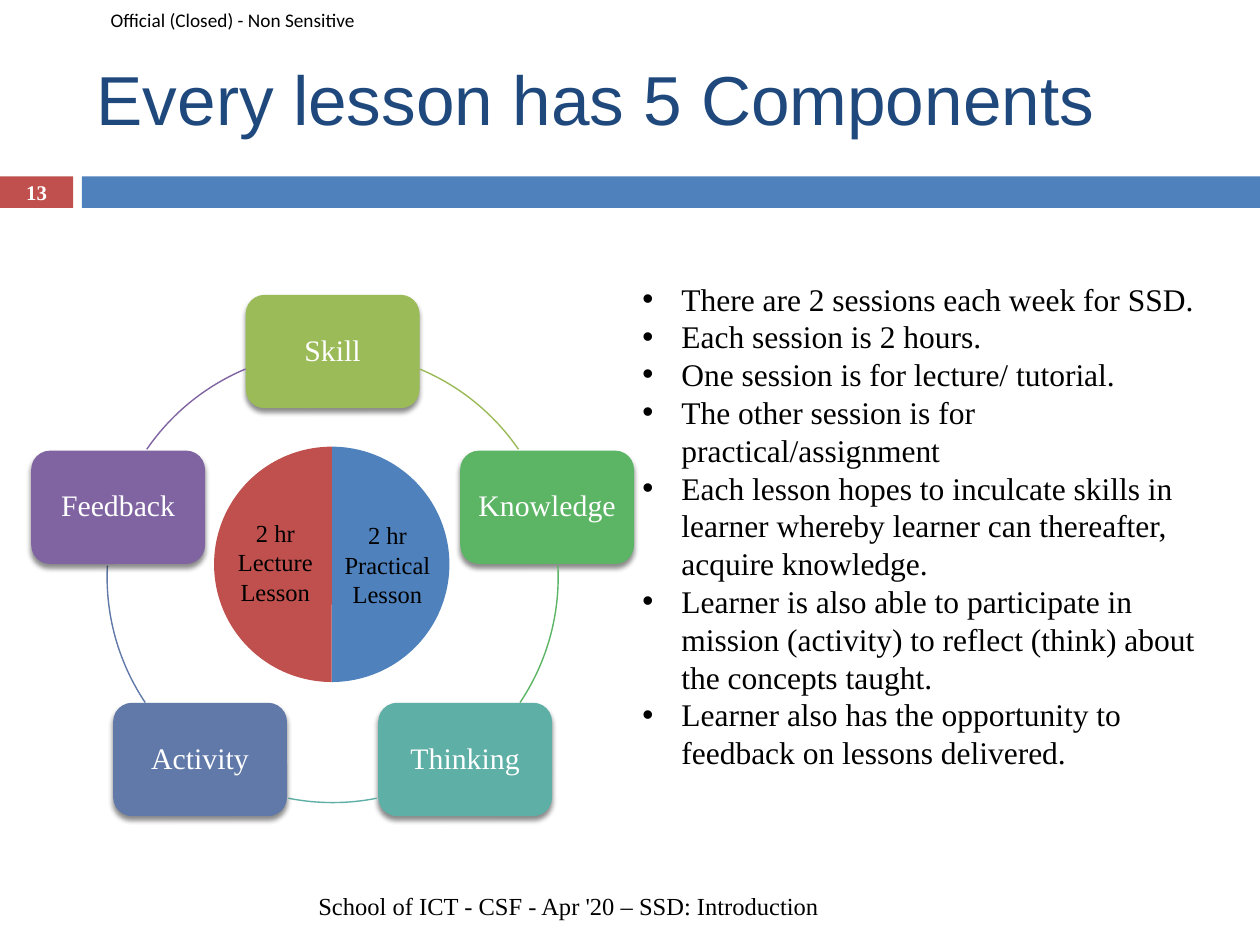
from math import cos, radians, sin

from lxml.etree import SubElement
from pptx import Presentation
from pptx.chart.data import CategoryChartData
from pptx.dml.color import RGBColor
from pptx.enum.chart import XL_CHART_TYPE
from pptx.enum.shapes import MSO_SHAPE
from pptx.enum.text import MSO_ANCHOR, PP_ALIGN
from pptx.oxml import parse_xml
from pptx.oxml.ns import nsdecls, qn
from pptx.util import Inches, Pt

COLORS = {
    "red": "C0504D", "blue": "4F81BD", "navy": "1F497D", "black": "000000",
    "white": "FFFFFF", "olive": "9BBB59", "green": "5CB565", "teal": "5EAFA6",
    "slate": "6179A8", "purple": "8064A2",
}
SERIF = "Times New Roman"

# Content: label, colour, start and end angle of the arc that follows it
COMPONENTS = [
    ("Skill", "olive", -67.3, -34.5),
    ("Knowledge", "green", -2.9, 33.8),
    ("Thinking", "teal", 78.7, 101.3),
    ("Activity", "slate", 146.2, 182.9),
    ("Feedback", "purple", 214.5, 247.3),
]
SESSIONS = [("1", 50, "blue"), ("2", 50, "red")]
SESSION_LABELS = [("2 hr Lecture Lesson", 1.74, 4.06), ("2 hr Practical Lesson", 2.63, 4.08)]
POINTS = [
    "There are 2 sessions each week for SSD.",
    "Each session is 2 hours.",
    "One session is for lecture/ tutorial.",
    "The other session is for practical/assignment",
    "Each lesson hopes to inculcate skills in learner whereby learner can thereafter, "
    "acquire knowledge.",
    "Learner is also able to participate in mission (activity) to reflect (think) about "
    "the concepts taught.",
    "Learner also has the opportunity to feedback on lessons delivered.",
]

# Ring geometry
CX, CY, RADIUS = 2.64, 4.58, 1.79
BOX_W, BOX_H = 1.38, 0.9
PIE_D = 1.87

prs = Presentation()
prs.slide_width, prs.slide_height = Inches(10), Inches(7.5)
s = prs.slides.add_slide(prs.slide_layouts[6])


def rgb(name):
    return RGBColor.from_string(COLORS[name])


def box(x, y, w, h):
    return [Inches(v) for v in (x, y, w, h)]


def add_block(kind, x, y, w, h, fill):
    sp = s.shapes.add_shape(kind, *box(x, y, w, h))
    sp.shadow.inherit = False
    sp.fill.solid()
    sp.fill.fore_color.rgb = rgb(fill)
    sp.line.fill.background()
    return sp


def write(sp, text, size, color="black", font=SERIF, bold=False, align=PP_ALIGN.LEFT,
          anchor=MSO_ANCHOR.TOP, bullet=False):
    tf = sp.text_frame
    tf.word_wrap = True
    tf.vertical_anchor = anchor
    for i, line in enumerate([text] if isinstance(text, str) else text):
        p = tf.add_paragraph() if i else tf.paragraphs[0]
        p.alignment = align
        if bullet:
            pPr = p._p.get_or_add_pPr()
            pPr.set("marL", str(Inches(0.31)))
            pPr.set("indent", str(-Inches(0.31)))
            SubElement(pPr, qn("a:buFont"), typeface="Arial")
            SubElement(pPr, qn("a:buChar"), char="•")
        r = p.add_run()
        r.text = line
        r.font.size, r.font.name, r.font.bold = Pt(size), font, bold
        r.font.color.rgb = rgb(color)
    return tf


def add_text(x, y, w, h, text, size, **fmt):
    return write(s.shapes.add_textbox(*box(x, y, w, h)), text, size, **fmt)


def add_shadow(sp):
    effects = sp._element.spPr.find(qn("a:effectLst"))
    shadow = SubElement(effects, qn("a:outerShdw"), blurRad=str(Pt(3)), dist=str(Pt(2.4)),
                        dir="5400000", rotWithShape="0")
    color = SubElement(shadow, qn("a:srgbClr"), val=COLORS["black"])
    SubElement(color, qn("a:alpha"), val="45000")


# Header, title, band and footer
add_block(MSO_SHAPE.RECTANGLE, 0.65, 1.4, 9.35, 0.25, "blue")
number = add_block(MSO_SHAPE.RECTANGLE, 0, 1.4, 0.58, 0.25, "red")
write(number, "13", 11.9, color="white", bold=True, align=PP_ALIGN.CENTER,
      anchor=MSO_ANCHOR.MIDDLE)
add_text(0.78, 0, 2.4, 0.31, "Official (Closed) - Non Sensitive", 11, font="Calibri",
         anchor=MSO_ANCHOR.MIDDLE)
add_text(0.67, 0.3, 8.83, 0.95, "Every lesson has 5 Components", 39.6, color="navy",
         font="Arial", anchor=MSO_ANCHOR.MIDDLE)
add_text(0.67, 6.99, 5.93, 0.4, "School of ICT - CSF - Apr '20 – SSD: Introduction", 14,
         align=PP_ALIGN.RIGHT, anchor=MSO_ANCHOR.MIDDLE)

# Ring of components, evenly spaced clockwise from the top
for i, (label, color, start, end) in enumerate(COMPONENTS):
    angle = radians(360 / len(COMPONENTS) * i - 90)
    x, y = CX + RADIUS * cos(angle), CY + RADIUS * sin(angle)
    sp = add_block(MSO_SHAPE.ROUNDED_RECTANGLE, x - BOX_W / 2, y - BOX_H / 2, BOX_W, BOX_H, color)
    add_shadow(sp)
    tf = write(sp, label, 17, color="white", align=PP_ALIGN.CENTER, anchor=MSO_ANCHOR.MIDDLE)
    tf.paragraphs[0].line_spacing = 0.9

    arc = s.shapes.add_shape(MSO_SHAPE.ARC, *box(CX - RADIUS, CY - RADIUS, 2 * RADIUS, 2 * RADIUS))
    arc.shadow.inherit = False
    arc.fill.background()
    arc.line.color.rgb, arc.line.width = rgb(color), Pt(0.79)
    for k, degrees in enumerate((start, end)):
        arc.adjustments[k] = degrees % 360 * 0.6  # 60000 units a degree, scaled by 100000

# Pie of the two weekly sessions
data = CategoryChartData()
data.categories = [name for name, _, _ in SESSIONS]
data.add_series("Series 1", [share for _, share, _ in SESSIONS])
chart_w, chart_h = 3.79, 2.14
chart = s.shapes.add_chart(XL_CHART_TYPE.PIE, *box(0.74, 3.41, chart_w, chart_h), data).chart
chart.has_legend = chart.has_title = False
chart.font.name, chart.font.size = SERIF, Pt(18)
chart.font.color.rgb = rgb("black")
plot = chart.plots[0]
plot.vary_by_categories = True
for i, (_, _, color) in enumerate(SESSIONS):
    fill = plot.series[0].points[i].format.fill
    fill.solid()
    fill.fore_color.rgb = rgb(color)
w, h = PIE_D / chart_w, PIE_D / chart_h
area = chart._chartSpace.chart.plotArea
for old in area.findall(qn("c:layout")):
    area.remove(old)
area.insert(0, parse_xml(
    f'<c:layout {nsdecls("c")}><c:manualLayout><c:layoutTarget val="inner"/>'
    '<c:xMode val="edge"/><c:yMode val="edge"/>'
    f'<c:x val="{(1 - w) / 2:.3f}"/><c:y val="{(1 - h) / 2:.3f}"/>'
    f'<c:w val="{w:.3f}"/><c:h val="{h:.3f}"/></c:manualLayout></c:layout>'))
for label, x, y in SESSION_LABELS:
    add_text(x, y, 0.89, 0.81, label, 14, align=PP_ALIGN.CENTER)

# Bulleted notes
add_text(5, 2.17, 4.91, 4.34, POINTS, 18, bullet=True)

prs.save("out.pptx")
